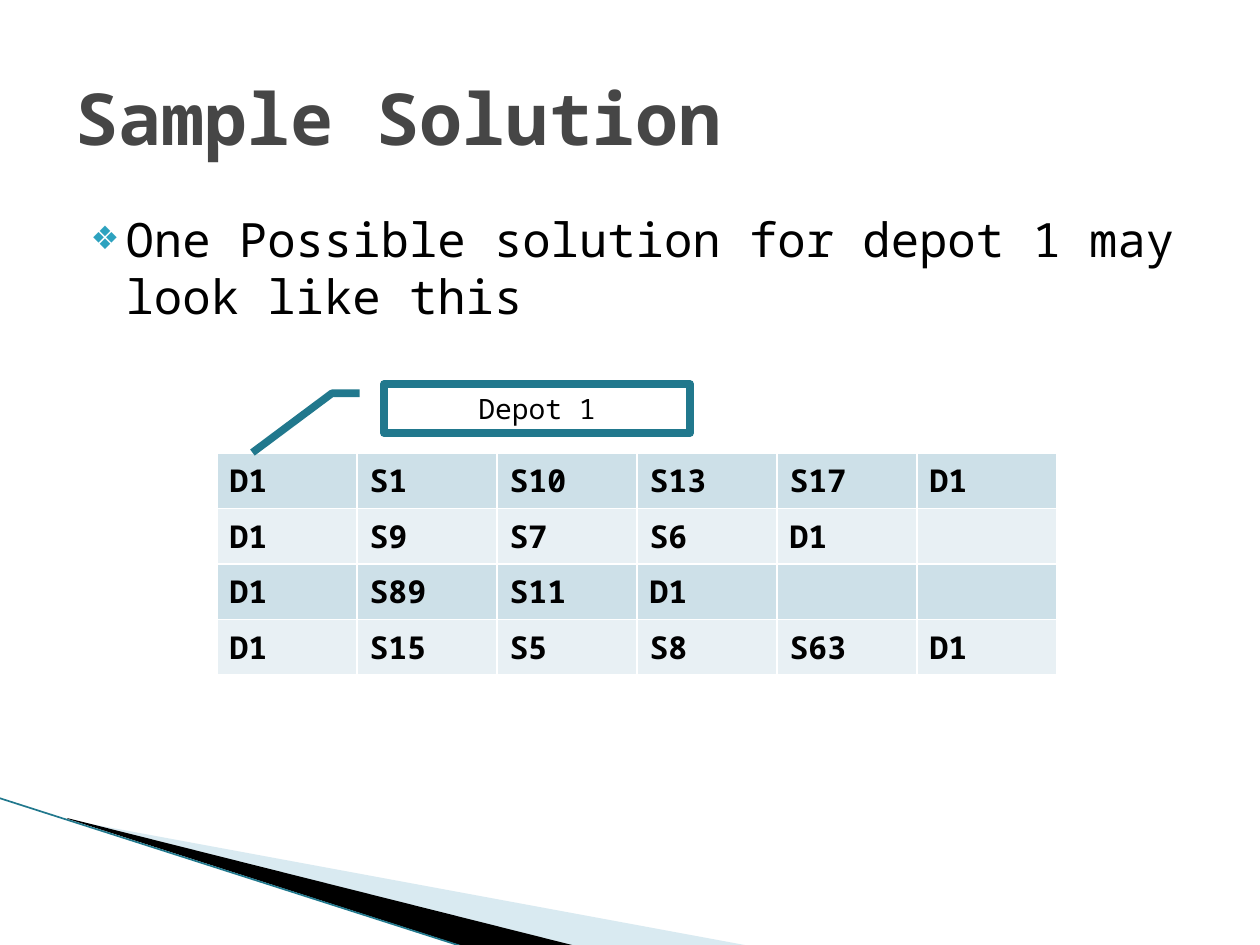
from lxml.etree import SubElement
from pptx import Presentation
from pptx.dml.color import RGBColor
from pptx.enum.shapes import MSO_CONNECTOR, MSO_SHAPE
from pptx.enum.text import MSO_ANCHOR, MSO_AUTO_SIZE, PP_ALIGN
from pptx.oxml.ns import qn
from pptx.util import Pt

PX = 914400 / 126
THEME = {
    "font": "Noto Sans Mono",
    "ink": "000000", "heading": "464646", "bullet": "2DA2BF",
    "teal": "21788D", "pale": "A0CBDC", "border": "FFFFFF",
    "bands": ["CDE0E8", "E8F0F4"],
    "title_size": 41, "body_size": 27, "cell_size": 18, "callout_size": 16,
}


def px(*lengths):
    return [round(length * PX) for length in lengths]


def write(frame, text, size, color="ink", bold=False, align=PP_ALIGN.LEFT, anchor=MSO_ANCHOR.TOP):
    frame.word_wrap = True
    frame.vertical_anchor = anchor
    paragraph = frame.paragraphs[0]
    paragraph.alignment = align
    run = paragraph.add_run()
    run.text = text
    run.font.name = THEME["font"]
    run.font.size = Pt(THEME[size])
    run.font.bold = bold
    run.font.color.rgb = RGBColor.from_string(THEME[color])
    return paragraph


deck = Presentation()
deck.slide_width, deck.slide_height = px(1260, 945)
slide = deck.slides.add_slide(deck.slide_layouts[1])
shapes = slide.shapes
title, statement = shapes.title, slide.placeholders[1]

wedges = [
    ("pale", 40, [(69, 820), (750, 946), (575, 946), (69, 819)]),
    ("ink", 100, [(67, 818), (576, 946), (469, 948), (68, 819)]),
]
for color, opacity, corners in wedges:
    outline = shapes.build_freeform(*corners[0], scale=PX)
    outline.add_line_segments(corners[1:], close=True)
    wedge = outline.convert_to_shape()
    wedge.shadow.inherit = False
    wedge.line.fill.background()
    wedge.fill.solid()
    wedge.fill.fore_color.rgb = RGBColor.from_string(THEME[color])
    if opacity < 100:
        tint = wedge.element.spPr.find(qn("a:solidFill")).find(qn("a:srgbClr"))
        SubElement(tint, qn("a:alpha"), val=str(opacity * 1000))

edge = shapes.add_connector(MSO_CONNECTOR.STRAIGHT, *px(-1, 798, 467, 948))
edge.line.color.rgb = RGBColor.from_string(THEME["teal"])
edge.line.width = Pt(0.95)
SubElement(edge.element.spPr, qn("a:effectLst"))

for placeholder, bounds in [(statement, (63, 204, 1134, 624)), (title, (63, 38, 1134, 158))]:
    placeholder.left, placeholder.top, placeholder.width, placeholder.height = px(*bounds)
    placeholder.text_frame.auto_size = MSO_AUTO_SIZE.NONE
    shapes.element.append(placeholder.element)

write(title.text_frame, "Sample Solution", "title_size", color="heading", bold=True, anchor=MSO_ANCHOR.MIDDLE)
point = write(statement.text_frame, "One Possible solution for depot 1 may look like this", "body_size")
point.space_before = Pt(4)
indents = point._p.get_or_add_pPr()
hang, indent = px(-35, 50)
indents.set("marL", str(indent))
indents.set("indent", str(hang))
SubElement(SubElement(indents, qn("a:buClr")), qn("a:srgbClr"), val=THEME["bullet"])
SubElement(indents, qn("a:buSzPct"), val="68000")
SubElement(indents, qn("a:buChar"), char="❖")

routes = [
    ["D1", "S1", "S10", "S13", "S17", "D1"],
    ["D1", "S9", "S7", "S6", "D1", ""],
    ["D1", "S89", "S11", "D1", "", ""],
    ["D1", "S15", "S5", "S8", "S63", "D1"],
]
schedule = shapes.add_table(4, 6, *px(217, 453, 840, 204)).table
schedule.first_row = False
schedule.horz_banding = False
for row, route in enumerate(routes):
    for column, stop in enumerate(route):
        cell = schedule.cell(row, column)
        properties = cell._tc.get_or_add_tcPr()
        for side in ("lnL", "lnR", "lnT", "lnB"):
            border = SubElement(properties, qn(f"a:{side}"), w=str(Pt(1)))
            SubElement(SubElement(border, qn("a:solidFill")), qn("a:srgbClr"), val=THEME["border"])
        cell.fill.solid()
        cell.fill.fore_color.rgb = RGBColor.from_string(THEME["bands"][row % 2])
        if stop:
            write(cell.text_frame, stop, "cell_size", bold=True)

depot = shapes.add_shape(MSO_SHAPE.LINE_CALLOUT_2, *px(384, 384, 306, 49))
depot.shadow.inherit = False
depot.fill.background()
depot.line.color.rgb = RGBColor.from_string(THEME["teal"])
depot.line.width = Pt(4.33)
for index, bend in enumerate([0.19, -0.08, 0.19, -0.17, 1.4, -0.43]):
    depot.adjustments[index] = bend
write(depot.text_frame, "Depot 1", "callout_size", align=PP_ALIGN.CENTER, anchor=MSO_ANCHOR.MIDDLE)

deck.save("out.pptx")
